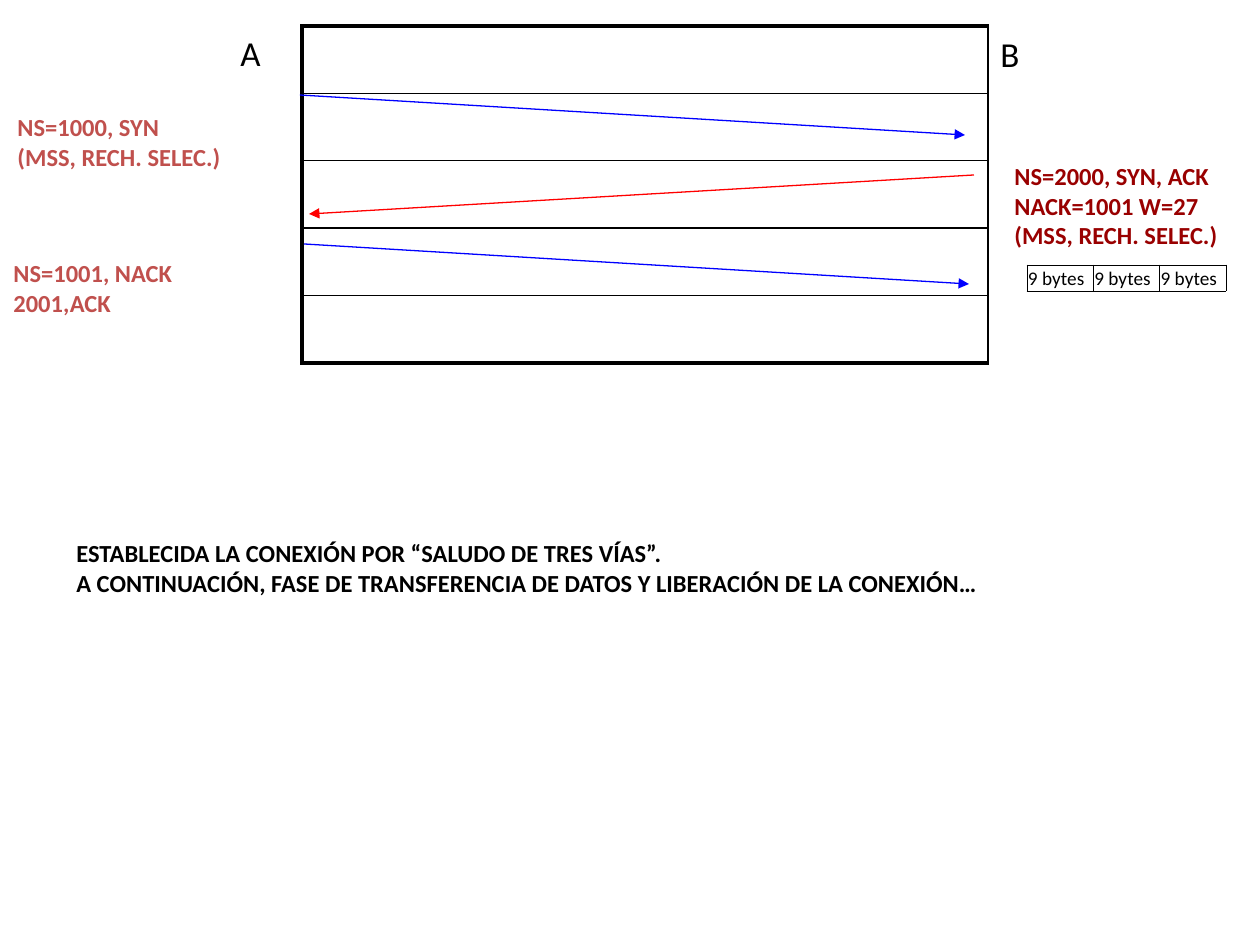
from typing import NamedTuple

from lxml import etree
from pptx import Presentation
from pptx.dml.color import RGBColor
from pptx.enum import shapes, text
from pptx.oxml import ns
from pptx.util import Emu, Pt

SCALE = 914400 / 126
FONT = "Calibri"
HEX = {"black": "000000", "blue": "0000FF", "red": "FF0000",
       "rose": "C0504D", "wine": "990000"}


class Label(NamedTuple):
    """A text box with one paragraph per line."""
    box: tuple[int, int, int, int]
    lines: list[str]
    color: str = "black"
    size: int = 14
    bold: bool = True
    wrap: bool = False


class Arrow(NamedTuple):
    """A message from one host to the other."""
    start: tuple[int, int]
    end: tuple[int, int]
    color: str


LABELS = [
    Label((228, 25, 45, 54), ["A"], size=20, bold=False),
    Label((988, 26, 45, 54), ["B"], size=20, bold=False),
    Label((5, 106, 231, 72), ["NS=1000, SYN", "(MSS, RECH. SELEC.)"], "rose"),
    Label((1, 252, 281, 102), ["NS=1001, NACK 2001,ACK"], "rose", wrap=True),
    Label((1002, 155, 231, 102),
          ["NS=2000, SYN, ACK", "NACK=1001 W=27", "(MSS, RECH. SELEC.)"], "wine"),
    Label((64, 532, 1160, 101),
          ["ESTABLECIDA LA CONEXIÓN POR “SALUDO DE TRES VÍAS”.",
           "A CONTINUACIÓN, FASE DE TRANSFERENCIA DE DATOS Y LIBERACIÓN "
           "DE LA CONEXIÓN…"], wrap=True),
]
ARROWS = [
    Arrow((300, 95), (965, 135), "blue"),
    Arrow((304, 244), (969, 284), "blue"),
    Arrow((974, 175), (309, 214), "red"),
]


def px(n: float) -> Emu:
    """Turn pixels into EMU."""
    return Emu(round(n * SCALE))


def style(para, size: int, color: str = "black", bold: bool = False) -> None:
    """Set the font of a paragraph."""
    font = para.font
    font.name, font.size, font.bold = FONT, Pt(size), bold
    font.color.rgb = RGBColor.from_string(HEX[color])


def add_label(slide, label: Label) -> None:
    """Draw a text box."""
    frame = slide.shapes.add_textbox(*map(px, label.box)).text_frame
    frame.word_wrap = label.wrap
    frame.auto_size = text.MSO_AUTO_SIZE.SHAPE_TO_FIT_TEXT
    frame.text = "\n".join(label.lines)
    for para in frame.paragraphs:
        style(para, label.size, label.color, label.bold)


def add_arrow(slide, arrow: Arrow) -> None:
    """Draw a thin line with a triangle at its end."""
    line = slide.shapes.add_connector(
        shapes.MSO_CONNECTOR.STRAIGHT, *map(px, arrow.start + arrow.end))
    line.line.width = Pt(0.75)
    line.line.color.rgb = RGBColor.from_string(HEX[arrow.color])
    etree.SubElement(line.line._get_or_add_ln(), ns.qn("a:tailEnd"), type="triangle")
    etree.SubElement(line._element.spPr, ns.qn("a:effectLst"))


def add_grid(slide, rows: int, cols: int, box: tuple[int, int, int, int]):
    """Add a plain table of equal cells."""
    grid = slide.shapes.add_table(rows, cols, *map(px, box)).table
    grid.first_row = grid.horz_banding = False
    return grid


def edge(cell, **widths: float) -> None:
    """Give a cell black borders (L, R, T, B in points) and no fill."""
    props = cell._tc.get_or_add_tcPr()
    for side in "LRTB":
        line = etree.SubElement(props, ns.qn(f"a:ln{side}"),
                                w=str(Pt(widths[side])))
        fill = etree.SubElement(line, ns.qn("a:solidFill"))
        etree.SubElement(fill, ns.qn("a:srgbClr"), val=HEX["black"])
    cell.fill.background()


def add_lanes(slide, count: int = 5) -> None:
    """Draw the time lanes between the two hosts."""
    grid = add_grid(slide, count, 1, (302, 26, 686, 337))
    for i in range(count):
        edge(grid.cell(i, 0), L=2.25, R=1, T=1 if i else 2.25,
             B=2.25 if i == count - 1 else 1)


def add_bytes(slide, count: int = 3) -> None:
    """Draw the row of window segments."""
    grid = add_grid(slide, 1, count, (1027, 265, 199, 26))
    for i in range(count):
        cell = grid.cell(0, i)
        cell.text = "9 bytes"
        cell.vertical_anchor = text.MSO_ANCHOR.BOTTOM
        cell.margin_left = cell.margin_right = cell.margin_top = px(1)
        cell.margin_bottom = 0
        style(cell.text_frame.paragraphs[0], 11)
        edge(cell, L=0.5, R=0.5, T=0.5, B=0.5)


def main() -> None:
    """Build and save the slide."""
    deck = Presentation()
    deck.slide_width, deck.slide_height = px(1260), px(945)
    slide = deck.slides.add_slide(deck.slide_layouts[6])
    add_lanes(slide)
    for arrow in ARROWS:
        add_arrow(slide, arrow)
    for label in LABELS:
        add_label(slide, label)
    add_bytes(slide)
    deck.save("out.pptx")


main()
